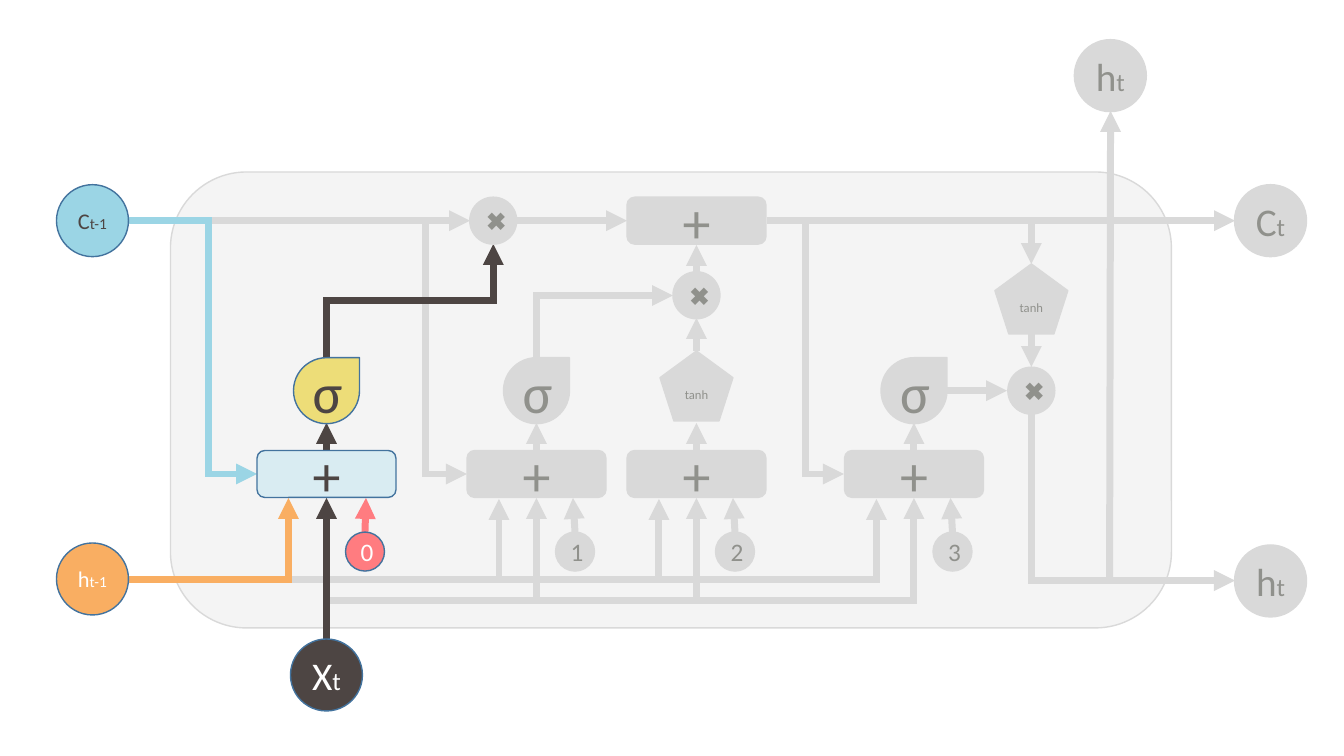
from lxml import etree
from pptx import Presentation
from pptx.dml.color import RGBColor
from pptx.enum.shapes import MSO_CONNECTOR, MSO_SHAPE
from pptx.enum.text import MSO_ANCHOR, PP_ALIGN
from pptx.oxml.ns import qn
from pptx.util import Emu, Pt

CIRCLE = MSO_SHAPE.OVAL
ROUNDED = MSO_SHAPE.ROUNDED_RECTANGLE
TEARDROP = MSO_SHAPE.TEAR
PENTAGON = MSO_SHAPE.REGULAR_PENTAGON
STRAIGHT = MSO_CONNECTOR.STRAIGHT
CENTER = PP_ALIGN.CENTER
MIDDLE = MSO_ANCHOR.MIDDLE

EMU_PER_PIXEL = 914400 / 100.8
GRAY, GRAY_TEXT, PANEL = "D9D9D9", "90918C", "F4F4F4"
DARK, WHITE, OUTLINE = "4D4543", "FFFFFF", "43739E"
BLUE, PALE_BLUE, ORANGE = "9BD5E5", "D9ECF2", "F9AE62"
RED, YELLOW = "FF7C80", "EDDD78"


def px(value):
    return Emu(round(value * EMU_PER_PIXEL))


def rgb(value):
    return RGBColor.from_string(value)


def apply(target, values):
    for name, value in values.items():
        setattr(target, name, value)


class Diagram:
    font = "Calibri"
    thick = Pt(5)
    thin = Pt(1)

    def __init__(self, deck):
        self.page = deck.slides.add_slide(deck.slide_layouts[6])

    def node(self, kind, center, size, spans=(), fill=GRAY, line=GRAY,
             color=GRAY_TEXT, shift=0):
        x, y = center
        width, height = size
        shape = self.page.shapes.add_shape(
            kind, px(x - width / 2), px(y - height / 2), px(width), px(height))
        shape.shadow.inherit = False
        shape.fill.solid()
        shape.fill.fore_color.rgb = rgb(fill)
        shape.line.color.rgb = rgb(line)
        shape.line.width = self.thin
        frame = shape.text_frame
        apply(frame, {
            "word_wrap": False, "vertical_anchor": MIDDLE,
            "margin_left": px(2 * shift), "margin_right": 0,
            "margin_top": 0, "margin_bottom": 0})
        para = frame.paragraphs[0]
        para.alignment = CENTER
        for text, points in spans:
            span = para.add_run()
            span.text = text
            apply(span.font, {"name": self.font, "size": Pt(points)})
            span.font.color.rgb = rgb(color)

    def straight(self, start, end):
        connector = self.page.shapes.add_connector(STRAIGHT, *start, *end)
        etree.SubElement(connector._element.spPr, qn("a:effectLst"))
        return connector

    def bent(self, start, *rest):
        builder = self.page.shapes.build_freeform(*start)
        builder.add_line_segments(rest, close=False)
        shape = builder.convert_to_shape()
        shape.fill.background()
        shape.shadow.inherit = False
        return shape

    def route(self, *points, color=GRAY):
        corners = [(px(x), px(y)) for x, y in points]
        draw = self.straight if len(corners) == 2 else self.bent
        arrow = draw(*corners)
        arrow.line.color.rgb = rgb(color)
        arrow.line.width = self.thick
        outline = arrow._element.spPr.find(qn("a:ln"))
        etree.SubElement(outline, qn("a:miter"), lim="800000")
        etree.SubElement(outline, qn("a:tailEnd"), type="triangle")

    def state(self, center, letter, subscript, sizes=(28, 18), **style):
        spans = zip((letter, subscript), sizes)
        self.node(CIRCLE, center, (72, 72), spans, **style)

    def plus(self, center, **style):
        self.node(ROUNDED, center, (139, 47), [("+", 40)], **style)

    def times(self, center):
        self.node(CIRCLE, center, (47, 47), [("✖", 18)], shift=3)

    def bias(self, center, label, **style):
        self.node(CIRCLE, center, (39, 39), [(label, 18)], shift=2, **style)

    def sigma(self, center, **style):
        self.node(TEARDROP, center, (66, 66), [("σ", 40)], shift=1, **style)

    def tanh(self, center):
        self.node(PENTAGON, center, (73, 70), [("tanh", 9)])


deck = Presentation()
deck.slide_width, deck.slide_height = px(1344), px(756)
diagram = Diagram(deck)

forget, entry, candidate, output = gates = (326.5, 536.5, 696.5, 914)
cell_y, hidden_y, input_y = 220.7, 579.6, 601
gate_y, sigma_y, bias_y = 474, 390.7, 551.6
gate_top, gate_bottom = 451, 498
product, final = 493.3, 1031.4

diagram.node(ROUNDED, (671, 400), (1001, 456), fill=PANEL)

for gate in gates[1:]:
    diagram.route((forget, 639), (forget, input_y), (gate, input_y),
                  (gate, gate_bottom))
    diagram.route((128, hidden_y), (gate - 37.5, hidden_y),
                  (gate - 37.5, gate_bottom + 1))
    diagram.route((gate + 38.5, 532), (gate + 36.5, gate_bottom))
    diagram.route((gate, gate_top), (gate, 423))

for start, end in ((128, 470), (517, 627), (823, 1235)):
    diagram.route((start, cell_y), (end, cell_y))
for start, bend, end in ((128, 425.4, 467), (767, 805.5, 844)):
    diagram.route((start, cell_y), (bend, cell_y), (bend, gate_y),
                  (end, gate_y))
for start, end in ((351, 318), (272, 245)):
    diagram.route((candidate, start), (candidate, end))
diagram.route((entry, 358), (entry, 295.5), (673, 295.5))
diagram.route((767, cell_y), (final, cell_y), (final, 264))
diagram.route((final, 333), (final, 367))
diagram.route((947, sigma_y), (1007, sigma_y))
diagram.route((final, 414), (final, 580.6), (1235, 580.6))
diagram.route((1109.6, hidden_y), (1110.6, 111))

diagram.route((forget, 639), (forget, gate_bottom), color=DARK)
diagram.route((forget, gate_top), (forget, 423), color=DARK)
diagram.route((forget, 358), (forget, 301), (product, 301), (product, 244),
              color=DARK)
diagram.route((128, hidden_y), (forget - 38, hidden_y),
              (forget - 38, gate_bottom), color=ORANGE)
diagram.route((128, cell_y), (209, cell_y), (209, gate_y), (257, gate_y),
              color=BLUE)
diagram.route((365, 532), (366, gate_bottom), color=RED)

for number, gate in enumerate(gates):
    active = number == 0
    styles = [
        {"fill": fill, "line": OUTLINE, "color": color} if active else {}
        for fill, color in ((PALE_BLUE, DARK), (RED, WHITE), (YELLOW, DARK))]
    diagram.plus((gate, gate_y), **styles[0])
    diagram.bias((gate + 38.5, bias_y), str(number), **styles[1])
    if gate != candidate:
        diagram.sigma((gate, sigma_y), **styles[2])

diagram.plus((candidate, cell_y))
for center in ((product, cell_y), (candidate, 295.3), (final, sigma_y)):
    diagram.times(center)
for center in ((candidate, 386), (final, 299)):
    diagram.tanh(center)

diagram.state((forget, 675), "X", "t", fill=DARK, line=OUTLINE, color=WHITE)
for y, letter, fill, color in ((cell_y, "C", BLUE, DARK),
                               (579, "h", ORANGE, WHITE)):
    diagram.state((92.5, y), letter, "t-1", (16, 11),
                  fill=fill, line=OUTLINE, color=color)
for center, letter in (((1270.6, cell_y), "C"), ((1270.6, 581), "h"),
                       ((1110.4, 75.7), "h")):
    diagram.state(center, letter, "t")

deck.save("out.pptx")
